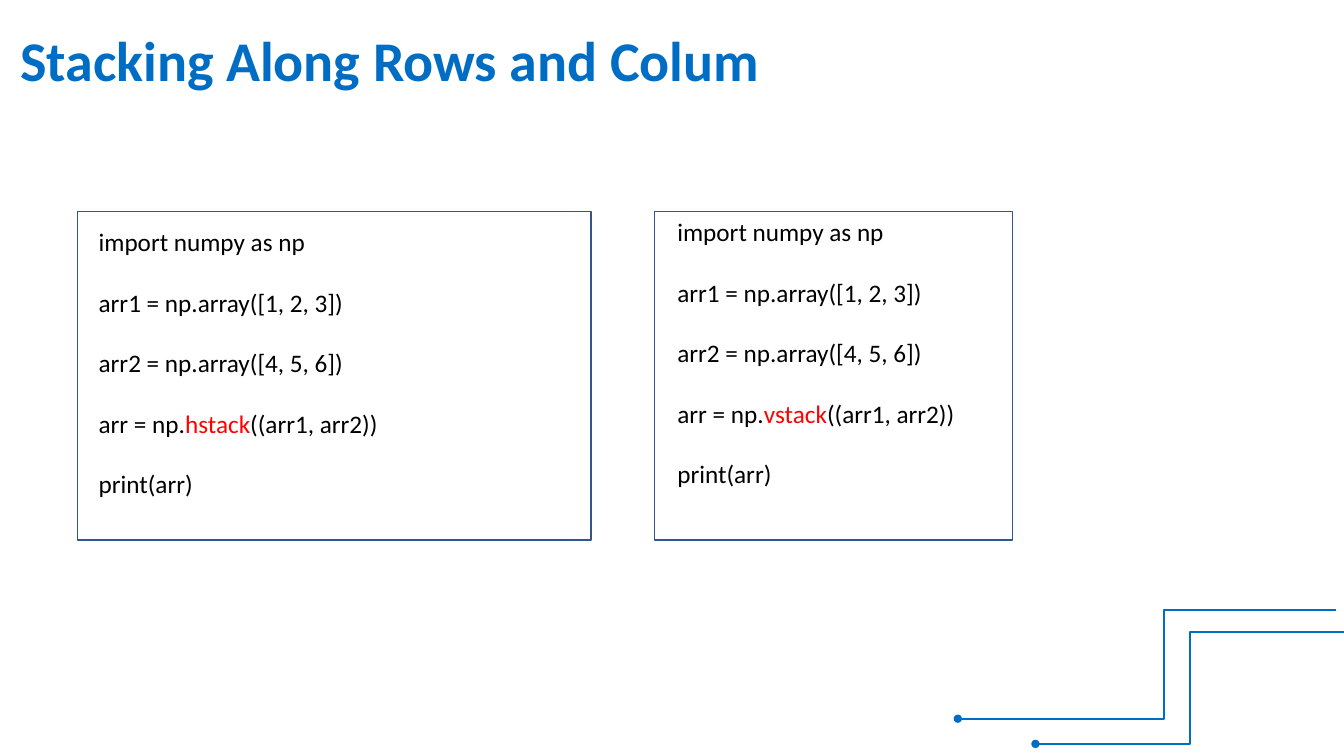
from lxml import etree
from pptx import Presentation
from pptx import util as u
from pptx.dml import color as dml
from pptx.enum import shapes, text
from pptx.oxml import ns

HUES = {"blue": "006DC5", "navy": "325491", "black": "000000", "red": "FF0000"}
FONT = "Calibri"


def hue(name):
    return dml.RGBColor.from_string(HUES[name])


def place(shape, left, top, width, height):
    shape.left, shape.top = u.Inches(left), u.Inches(top)
    shape.width, shape.height = u.Inches(width), u.Inches(height)


def style(run, size, name, bold=False):
    font = run.font
    font.name, font.size, font.bold = FONT, u.Pt(size), bold
    font.color.rgb = hue(name)


def add_title(slide, words):
    title = slide.shapes.title
    place(title, 0.1, 0.2, 10.92, 0.77)
    frame = title.text_frame
    frame.text = words
    frame.word_wrap = True
    frame.auto_size = text.MSO_AUTO_SIZE.NONE
    frame.vertical_anchor = text.MSO_ANCHOR.TOP
    par = frame.paragraphs[0]
    par.alignment = text.PP_ALIGN.LEFT
    style(par.runs[0], 40, "blue", True)


def add_code(slide, func, left, top, width, height):
    box = slide.shapes.add_textbox(
        u.Inches(left), u.Inches(top), u.Inches(width), u.Inches(height))
    frame = box.text_frame
    frame.word_wrap = True
    lines = [
        ["import numpy as np"],
        ["arr1 = np.array([1, 2, 3])"],
        ["arr2 = np.array([4, 5, 6])"],
        ["arr = np.", func, "((arr1, arr2))"],
        ["print(arr)"],
    ]
    for row, parts in enumerate(lines):
        par = frame.add_paragraph() if row else frame.paragraphs[0]
        if row:
            par.space_before = u.Pt(21.6)
        for part in parts:
            run = par.add_run()
            run.text = part
            style(run, 18, "red" if part == func else "black")


def add_frame(slide, left, width):
    rect = slide.shapes.add_shape(
        shapes.MSO_SHAPE.RECTANGLE,
        u.Inches(left), u.Inches(2.1), u.Inches(width), u.Inches(3.26))
    rect.shadow.inherit = False
    rect.fill.background()
    rect.line.color.rgb = hue("navy")
    rect.line.width = u.Pt(1)


def add_trace(slide, start, end, bend):
    wire = slide.shapes.add_connector(
        shapes.MSO_CONNECTOR.ELBOW, *map(u.Inches, start + end))
    wire.line.color.rgb = hue("blue")
    wire.line.width = u.Pt(1.5)
    props = wire._element.spPr
    guides = props.find(ns.qn("a:prstGeom")).get_or_add_avLst()
    etree.SubElement(guides, ns.qn("a:gd"), name="adj1",
                     fmla=f"val {round(bend * 100000)}")
    etree.SubElement(props.find(ns.qn("a:ln")), ns.qn("a:tailEnd"), type="oval")
    etree.SubElement(props, ns.qn("a:effectLst"))


def main():
    deck = Presentation()
    deck.slide_width, deck.slide_height = u.Inches(13.33), u.Inches(7.5)
    slide = deck.slides.add_slide(deck.slide_layouts[5])
    add_title(slide, "Stacking Along Rows and Colum")
    add_trace(slide, (13.25, 6.05), (9.5, 7.13), 0.455)
    add_trace(slide, (13.33, 6.27), (10.27, 7.38), 0.5)
    add_code(slide, "hstack", 0.88, 2.2, 4.12, 2.83)
    add_frame(slide, 0.77, 5.09)
    add_code(slide, "vstack", 6.62, 2.1, 3.1, 3.22)
    add_frame(slide, 6.49, 3.55)
    deck.save("out.pptx")


if __name__ == "__main__":
    main()
